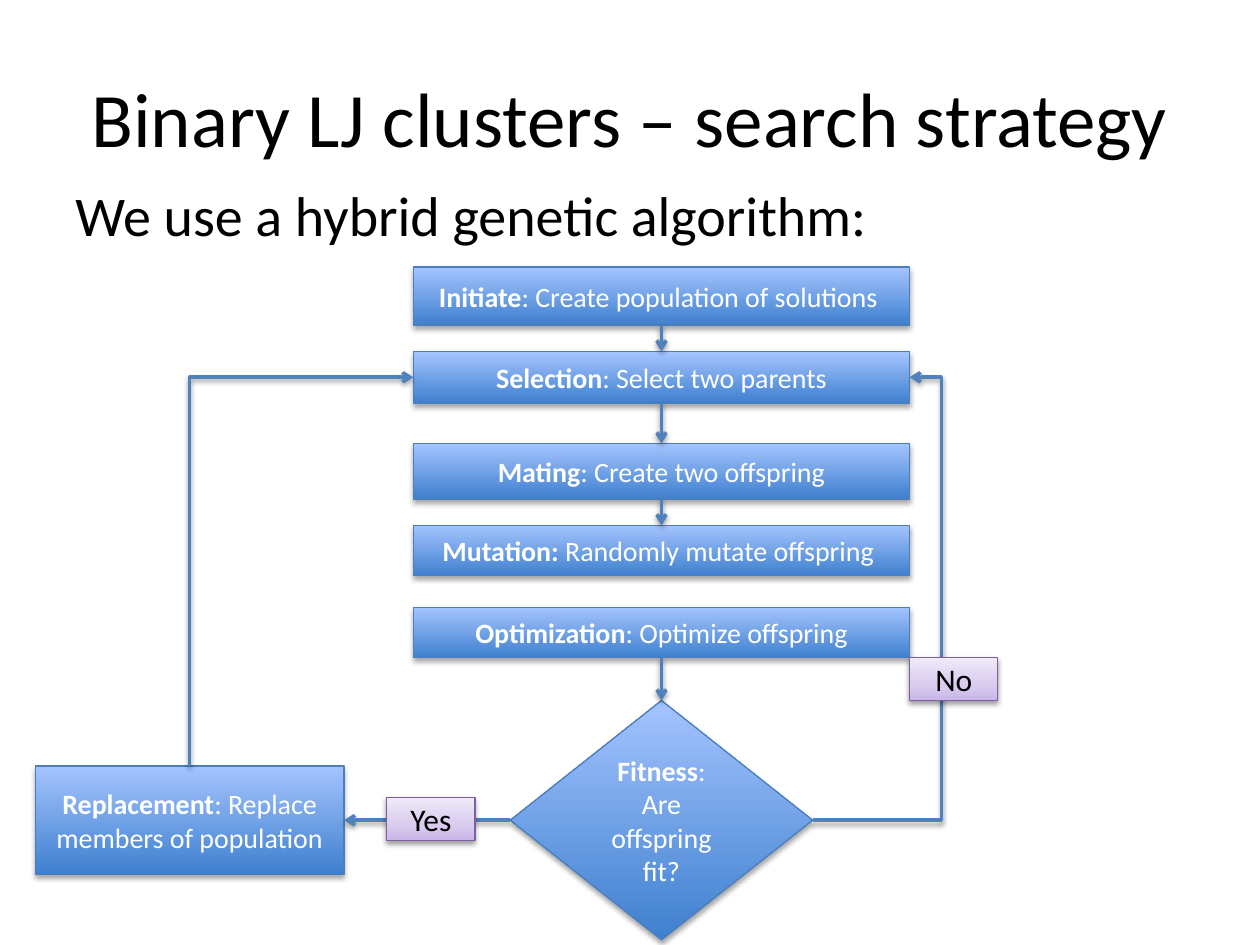
from pptx import Presentation
from pptx.dml.color import RGBColor
from pptx.enum.shapes import MSO_CONNECTOR, MSO_SHAPE
from pptx.enum.text import MSO_ANCHOR, PP_ALIGN
from pptx.oxml import parse_xml
from pptx.oxml.ns import nsdecls
from pptx.util import Inches, Pt

RECTANGLE, DECISION = MSO_SHAPE.RECTANGLE, MSO_SHAPE.FLOWCHART_DECISION
STRAIGHT, ELBOW = MSO_CONNECTOR.STRAIGHT, MSO_CONNECTOR.ELBOW
MIDDLE, TOP_ANCHOR = MSO_ANCHOR.MIDDLE, MSO_ANCHOR.TOP
CENTER, LEFT_ALIGN = PP_ALIGN.CENTER, PP_ALIGN.LEFT
TOP, LEFT, BOTTOM, RIGHT = range(4)  # connection sites of a box

BLACK = RGBColor(0x00, 0x00, 0x00)
WHITE = RGBColor(0xFF, 0xFF, 0xFF)
BOX_LINE = RGBColor(0x4B, 0x7E, 0xBC)
ARROW_BLUE = RGBColor(0x4F, 0x81, 0xBD)
LABEL_LINE = RGBColor(0x7D, 0x60, 0xA0)
BOX_STOPS = [(0, RGBColor(0x3F, 0x80, 0xCE)), (100, RGBColor(0xA4, 0xC4, 0xFF))]
LABEL_STOPS = [(0, RGBColor(0xC9, 0xB5, 0xE8)), (35, RGBColor(0xD8, 0xCB, 0xEE)),
               (100, RGBColor(0xF0, 0xEA, 0xF9))]

presentation = Presentation()
presentation.slide_width, presentation.slide_height = Inches(10), Inches(7.5)
slide = presentation.slides.add_slide(presentation.slide_layouts[6])


def write(shape, runs, size, color, anchor=MIDDLE, align=CENTER):
    """Fill a shape with one paragraph of (text, bold) runs."""
    frame = shape.text_frame
    frame.word_wrap = True
    frame.vertical_anchor = anchor
    paragraph = frame.paragraphs[0]
    paragraph.alignment = align
    for text, bold in runs:
        run = paragraph.add_run()
        run.text = text
        font_format = {"name": "Calibri", "size": Pt(size), "bold": bold}
        for name, value in font_format.items():
            setattr(run.font, name, value)
        run.font.color.rgb = color


def decorate(shape, line_color, line_width, shadow, stops=()):
    """Set line, shadow (opacity %, distance pt) and vertical gradient."""
    shape.line.color.rgb = line_color
    shape.line.width = Pt(line_width)
    properties = shape._element.spPr
    opacity, distance = shadow
    properties.append(parse_xml(
        f'<a:effectLst {nsdecls("a")}><a:outerShdw blurRad="{Pt(3.1)}" '
        f'dist="{Pt(distance)}" dir="5400000" rotWithShape="0">'
        f'<a:srgbClr val="000000"><a:alpha val="{opacity * 1000}"/></a:srgbClr>'
        '</a:outerShdw></a:effectLst>'))
    if stops:
        marks = "".join(f'<a:gs pos="{position * 1000}"><a:srgbClr val="{color}"/></a:gs>'
                        for position, color in stops)
        properties.insert(2, parse_xml(
            f'<a:gradFill {nsdecls("a")} rotWithShape="1"><a:gsLst>{marks}</a:gsLst>'
            '<a:lin ang="16200000" scaled="0"/></a:gradFill>'))


# Headings
headings = [
    ("Binary LJ clusters – search strategy", 0.3, 1.25, 44, MIDDLE, CENTER),
    ("We use a hybrid genetic algorithm:", 1.38, 0.73, 32, TOP_ANCHOR, LEFT_ALIGN),
]
for text, top, height, size, anchor, align in headings:
    heading = slide.shapes.add_textbox(Inches(0.5), Inches(top), Inches(9), Inches(height))
    write(heading, [(text, False)], size, BLACK, anchor, align)

# Steps: the main column is centred on x = 5.25
COLUMN = (3.28, 3.94)
steps = [
    (RECTANGLE, *COLUMN, 2.12, 0.46, "Initiate", ": Create population of solutions "),
    (RECTANGLE, *COLUMN, 2.79, 0.41, "Selection", ": Select two parents"),
    (RECTANGLE, *COLUMN, 3.52, 0.44, "Mating", ": Create two offspring"),
    (RECTANGLE, *COLUMN, 4.17, 0.4, "Mutation:", " Randomly mutate offspring "),
    (RECTANGLE, *COLUMN, 4.82, 0.4, "Optimization", ": Optimize offspring"),
    (DECISION, 4.05, 2.4, 5.56, 1.9, "Fitness", ": Are offspring fit?"),
    (RECTANGLE, 0.28, 2.45, 6.08, 0.86, "Replacement", ": Replace members of population"),
]
boxes = []
for kind, left, width, top, height, name, detail in steps:
    box = slide.shapes.add_shape(kind, Inches(left), Inches(top), Inches(width), Inches(height))
    decorate(box, BOX_LINE, 0.75, (35, 1.8), BOX_STOPS)
    write(box, [(name, True), (detail, False)], 16, WHITE)
    boxes.append(box)
initiate, selection, mating, mutation, optimization, fitness, replacement = boxes

# Arrows
links = [
    (STRAIGHT, initiate, BOTTOM, selection, TOP),
    (STRAIGHT, selection, BOTTOM, mating, TOP),
    (STRAIGHT, mating, BOTTOM, mutation, TOP),
    (STRAIGHT, optimization, BOTTOM, fitness, TOP),
    (STRAIGHT, fitness, LEFT, replacement, RIGHT),
    (ELBOW, replacement, TOP, selection, LEFT),
    (ELBOW, fitness, RIGHT, selection, RIGHT),
]
arrows = []
for kind, source, source_site, target, target_site in links:
    arrow = slide.shapes.add_connector(kind, 0, 0, 0, 0)
    arrow.begin_connect(source, source_site)
    arrow.end_connect(target, target_site)
    decorate(arrow, ARROW_BLUE, 2, (38, 1.6))
    arrow.line._get_or_add_ln().append(
        parse_xml(f'<a:tailEnd {nsdecls("a")} type="arrow"/>'))
    arrows.append(arrow)
replaced_arrow, rejected_arrow = arrows[-2:]

# One-corner route: up from Replacement, then right into Selection
across, up = replaced_arrow.width, replaced_arrow.height
shift = (across - up) // 2
replaced_arrow.left, replaced_arrow.top = replaced_arrow.left + shift, replaced_arrow.top - shift
replaced_arrow.width, replaced_arrow.height = up, across
properties = replaced_arrow._element.spPr
properties.prstGeom.set("prst", "bentConnector2")
for name, value in {"rot": "5400000", "flipH": "1", "flipV": "1"}.items():
    properties.xfrm.set(name, value)

# Two-corner route: swings out to the right of Selection
rejected_arrow._element.spPr.prstGeom.get_or_add_avLst().append(
    parse_xml(f'<a:gd {nsdecls("a")} name="adj1" fmla="val 132600"/>'))

# Answers
for text, left, top in [("Yes", 3.07, 6.33), ("No", 7.22, 5.22)]:
    label = slide.shapes.add_shape(RECTANGLE, Inches(left), Inches(top), Inches(0.7), Inches(0.34))
    decorate(label, LABEL_LINE, 0.75, (38, 1.6), LABEL_STOPS)
    write(label, [(text, False)], 18, BLACK)

presentation.save("out.pptx")
